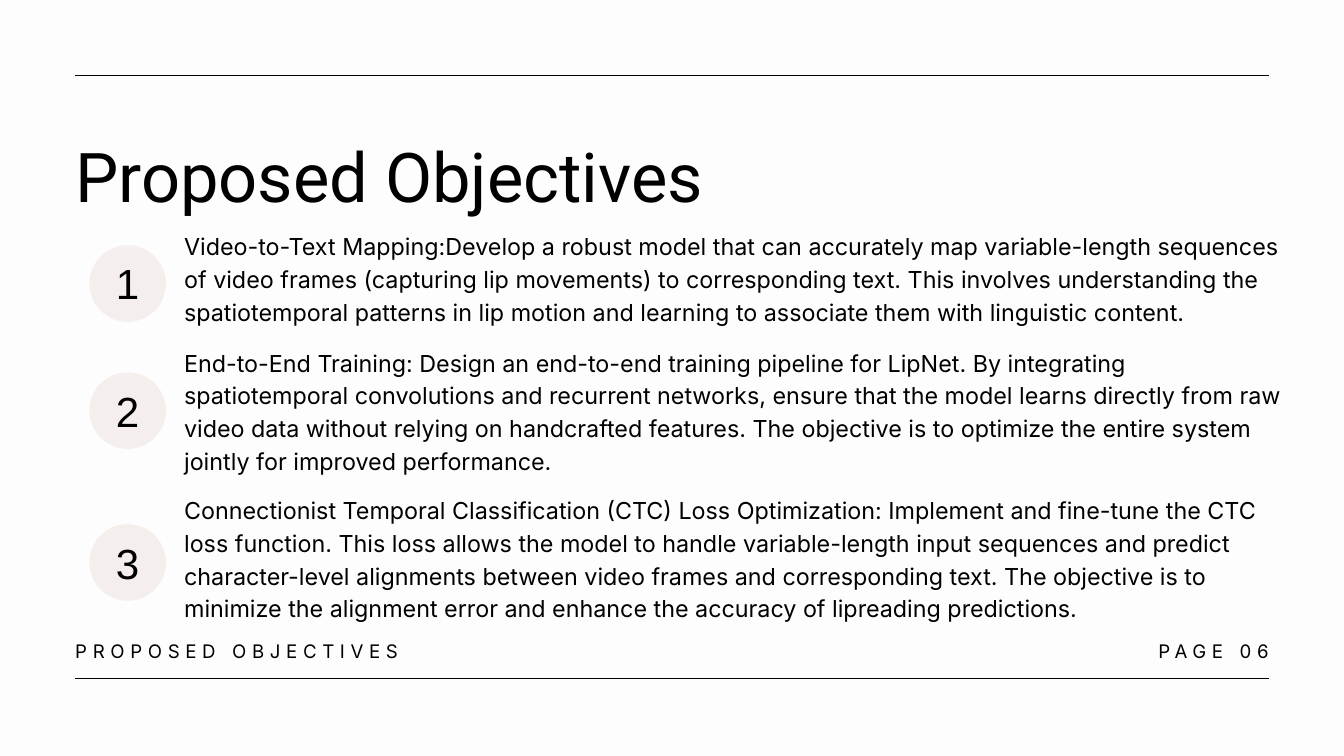
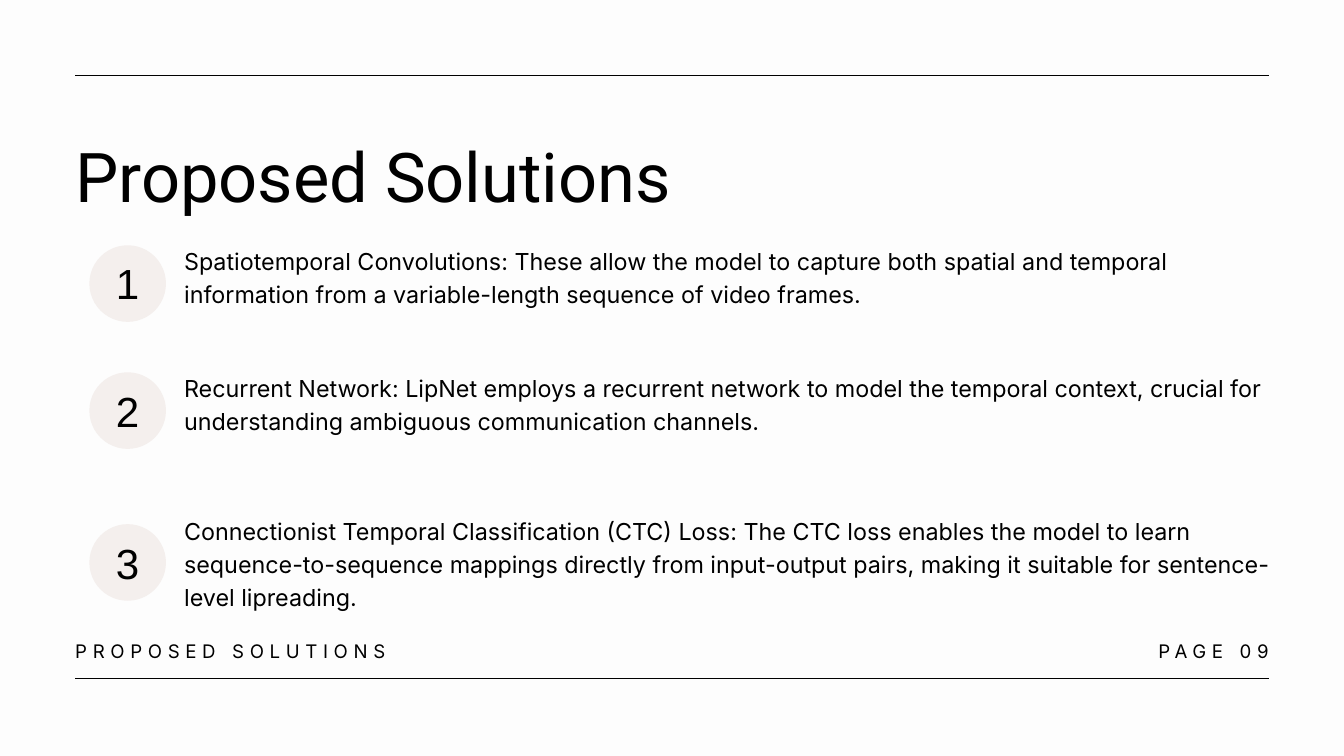
from dataclasses import dataclass
from pptx import Presentation
from pptx.dml.color import RGBColor as RGB
from pptx.enum.shapes import MSO_CONNECTOR as Link, MSO_SHAPE as Shape
from pptx.enum.text import MSO_AUTO_SIZE as Fit, PP_ALIGN as Align
from pptx.oxml.ns import qn
from pptx.util import Inches, Pt


@dataclass(frozen=True)
class Style:
    """One kind of text; sizes, line height and tracking are in points."""
    font: str
    size: float
    line: float
    align: Align = Align.LEFT
    track: float = 0


class Theme:
    paper = RGB.from_string("FDFDFD")
    ink = RGB.from_string("000000")
    disc = RGB.from_string("F4EFED")
    rule = Pt(1.5)
    title = Style("Roboto", 73.5, 102.9)
    body = Style("Inter", 25, 35)
    digit = Style("Arial", 45.1, 63.1, Align.CENTER)
    foot = Style("Inter", 20, 28, track=6)
    page = Style("Inter", 20, 28, Align.RIGHT, 6)


WIDE, HIGH = 20, 11.25
LEFT, RIGHT = 1.12, 18.88
RULES = (10.1, 1.12)
DISC = 1.14
DISC_TOPS = (3.65, 5.54, 7.8)
DIGIT_TOPS = (3.7, 5.61, 7.87)

# Each slide: title, page label, then (top, height, text) of every item
SLIDES = [
    ("Proposed Objectives", "PAGE 06", [
        (3.39, 2.37,
         "Video-to-Text Mapping:Develop a robust model that can accurately map "
         "variable-length sequences of video frames (capturing lip movements) to "
         "corresponding text. This involves understanding the spatiotemporal "
         "patterns in lip motion and learning to associate them with linguistic "
         "content."),
        (5.12, 2.37,
         "End-to-End Training: Design an end-to-end training pipeline for LipNet. "
         "By integrating spatiotemporal convolutions and recurrent networks, "
         "ensure that the model learns directly from raw video data without "
         "relying on handcrafted features. The objective is to optimize the "
         "entire system jointly for improved performance."),
        (7.32, 2.37,
         "Connectionist Temporal Classification (CTC) Loss Optimization: "
         "Implement and fine-tune the CTC loss function. This loss allows the "
         "model to handle variable-length input sequences and predict "
         "character-level alignments between video frames and corresponding "
         "text. The objective is to minimize the alignment error and enhance the "
         "accuracy of lipreading predictions."),
    ]),
    ("Proposed Solutions", "PAGE 09", [
        (3.61, 1.89,
         "Spatiotemporal Convolutions: These allow the model to capture both "
         "spatial and temporal information from a variable-length sequence of "
         "video frames."),
        (5.5, 1.41,
         "Recurrent Network: LipNet employs a recurrent network to model the "
         "temporal context, crucial for understanding ambiguous communication "
         "channels."),
        (7.63, 1.89,
         "Connectionist Temporal Classification (CTC) Loss: The CTC loss enables "
         "the model to learn sequence-to-sequence mappings directly from "
         "input-output pairs, making it suitable for sentence-level lipreading."),
    ]),
]


def write(slide, text, style, left, top, width, height):
    """Add a text box without margins, set in the given style."""
    box = slide.shapes.add_textbox(*map(Inches, (left, top, width, height)))
    frame = box.text_frame
    frame.margin_left = frame.margin_right = 0
    frame.margin_top = frame.margin_bottom = 0
    frame.word_wrap = True
    frame.auto_size = Fit.SHAPE_TO_FIT_TEXT
    frame.text = text
    para = frame.paragraphs[0]
    para.alignment = style.align
    para.line_spacing = Pt(style.line)
    run = para.runs[0]
    run.font.name = style.font
    run.font.size = Pt(style.size)
    run.font.color.rgb = Theme.ink
    if style.track:
        run.font._element.set("spc", str(style.track * 100))


deck = Presentation()
deck.slide_width, deck.slide_height = Inches(WIDE), Inches(HIGH)
back = deck.slide_master.background.fill
back.solid()
back.fore_color.rgb = Theme.paper
blank = deck.slide_layouts[6]

for title, page, items in SLIDES:
    slide = deck.slides.add_slide(blank)

    for y in RULES:
        rule = slide.shapes.add_connector(
            Link.STRAIGHT, Inches(LEFT), Inches(y), Inches(RIGHT), Inches(y))
        rule.line.color.rgb = Theme.ink
        rule.line.width = Theme.rule
        props = rule._element.spPr
        props.append(props.makeelement(qn("a:effectLst"), {}))

    write(slide, page, Theme.page, RIGHT - 3.24, 9.47, 3.24, 0.38)
    write(slide, title.upper(), Theme.foot, LEFT, 9.47, 6.44, 0.38)
    write(slide, title, Theme.title, LEFT, 1.79, 16.13, 1.38)

    rows = zip(DISC_TOPS, DIGIT_TOPS, items)
    for num, (disc_top, digit_top, (top, height, text)) in enumerate(rows, 1):
        disc = slide.shapes.add_shape(
            Shape.OVAL, *map(Inches, (1.33, disc_top, DISC, DISC)))
        disc.shadow.inherit = False
        disc.fill.solid()
        disc.fill.fore_color.rgb = Theme.disc
        disc.line.fill.background()
        write(slide, str(num), Theme.digit, 1.49, digit_top, 0.82, 0.89)
        write(slide, text, Theme.body, 2.74, top, 16.46, height)

deck.save("out.pptx")
